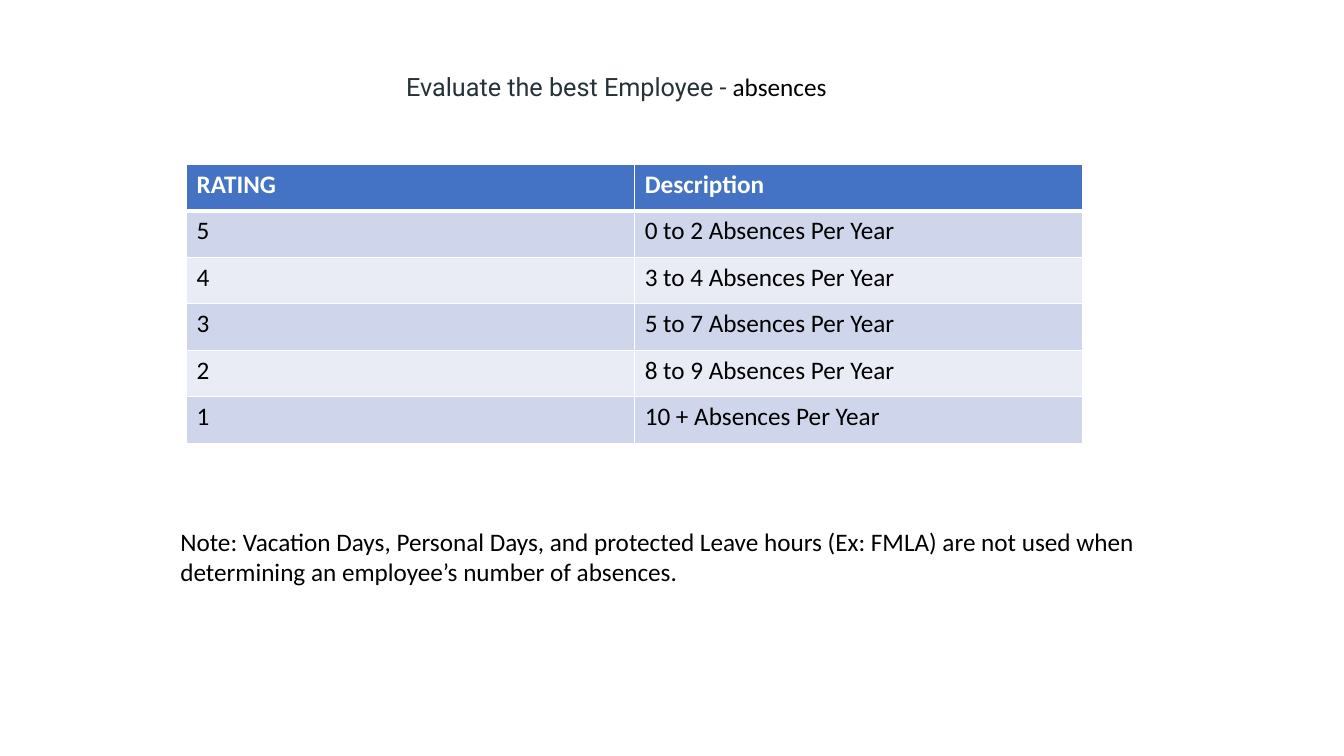
from dataclasses import dataclass

from lxml import etree
from pptx import Presentation
from pptx import util as u
from pptx.dml.color import RGBColor
from pptx.enum import text as t
from pptx.oxml.ns import qn


@dataclass(frozen=True)
class Theme:
    body_font: str = "Calibri"
    title_font: str = "Roboto"
    size: int = 18
    ink: str = "000000"
    title_ink: str = "263238"
    white: str = "FFFFFF"
    header: str = "4472C4"
    bands: tuple = ("CFD5EA", "E9EBF5")


theme = Theme()


def add_text(paragraph, words, font=theme.body_font, color=theme.ink, bold=False):
    run = paragraph.add_run()
    run.text = words
    run.font.name = font
    run.font.size = u.Pt(theme.size)
    run.font.bold = bold
    run.font.color.rgb = RGBColor.from_string(color)


def add_border(cell, side, width):
    """Draw one white cell edge; call in the order L, R, T, B, before the fill."""
    line = etree.SubElement(
        cell._tc.get_or_add_tcPr(), qn(f"a:ln{side}"), w=str(u.Pt(width))
    )
    fill = etree.SubElement(line, qn("a:solidFill"))
    etree.SubElement(fill, qn("a:srgbClr"), val=theme.white)


presentation = Presentation()
presentation.slide_width = u.Inches(13.33)
presentation.slide_height = u.Inches(7.5)
slide = presentation.slides.add_slide(presentation.slide_layouts[6])

# Rating table
ratings = [
    ("RATING", "Description"),
    ("5", "0 to 2 Absences Per Year"),
    ("4", "3 to 4 Absences Per Year"),
    ("3", "5 to 7 Absences Per Year"),
    ("2", "8 to 9 Absences Per Year"),
    ("1", "10 + Absences Per Year"),
]
table = slide.shapes.add_table(
    len(ratings), 2, u.Inches(1.85), u.Inches(1.63), u.Inches(8.89), u.Inches(2.77)
).table

for row, values in enumerate(ratings):
    is_header = row == 0
    fill_color = theme.header if is_header else theme.bands[(row - 1) % 2]
    for column, value in enumerate(values):
        cell = table.cell(row, column)
        for side in "LRTB":
            meets_header = (row, side) in ((0, "B"), (1, "T"))
            add_border(cell, side, 3 if meets_header else 1)
        cell.fill.solid()
        cell.fill.fore_color.rgb = RGBColor.from_string(fill_color)
        add_text(
            cell.text_frame.paragraphs[0],
            value,
            color=theme.white if is_header else theme.ink,
            bold=is_header,
        )

# Note and title
note = [
    (
        "Note: Vacation Days, Personal Days, and protected Leave hours (Ex: FMLA) "
        "are not used when determining an employee’s number of absences.",
        {},
    )
]
title = [
    (
        "Evaluate the best Employee -",
        {"font": theme.title_font, "color": theme.title_ink},
    ),
    (" absences", {}),
]
for runs, bounds in ((note, (1.69, 5.17, 10.74, 0.71)), (title, (3.93, 0.66, 5.48, 0.4))):
    frame = slide.shapes.add_textbox(*map(u.Inches, bounds)).text_frame
    frame.word_wrap = True
    frame.auto_size = t.MSO_AUTO_SIZE.SHAPE_TO_FIT_TEXT
    for words, style in runs:
        add_text(frame.paragraphs[0], words, **style)

presentation.save("out.pptx")
